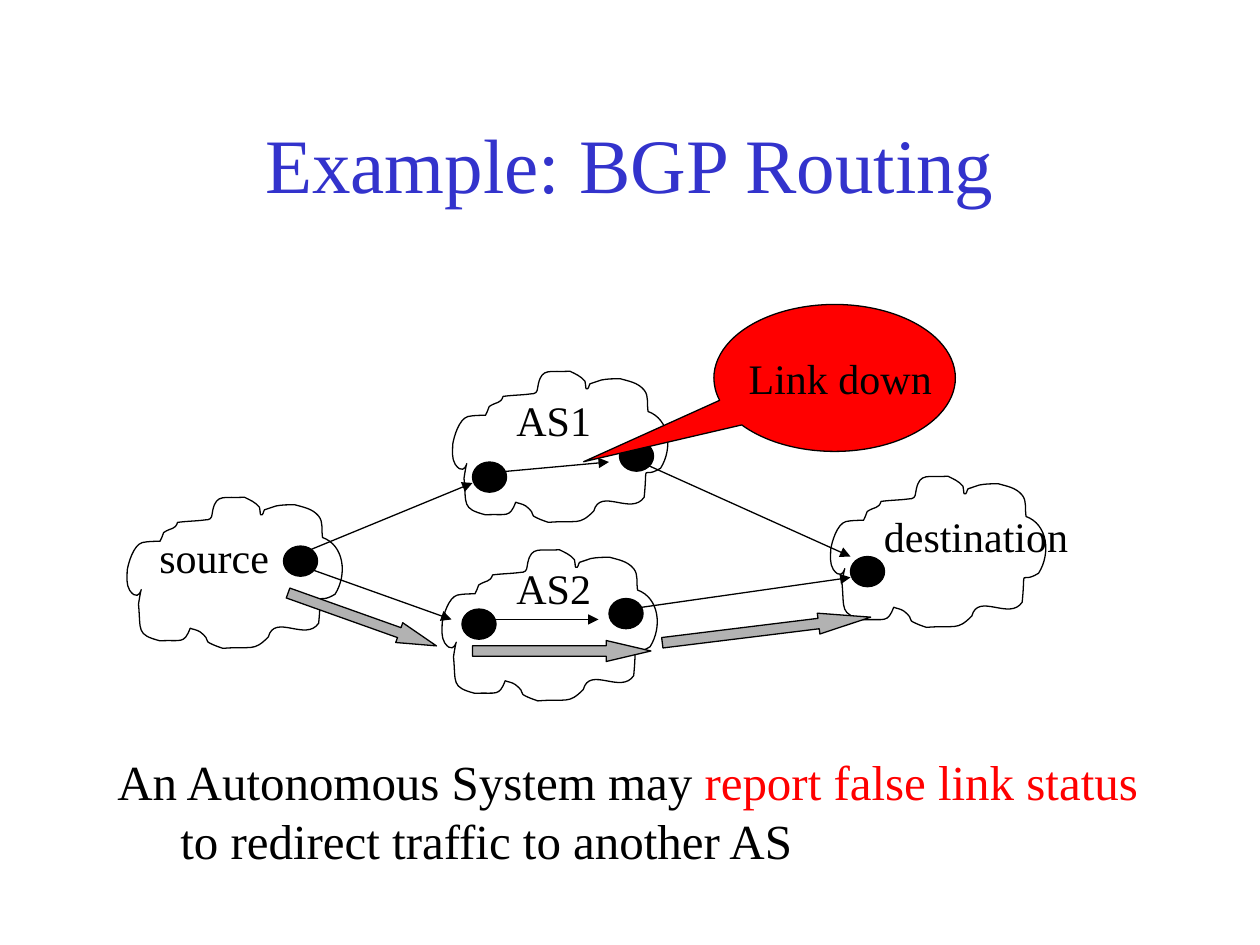
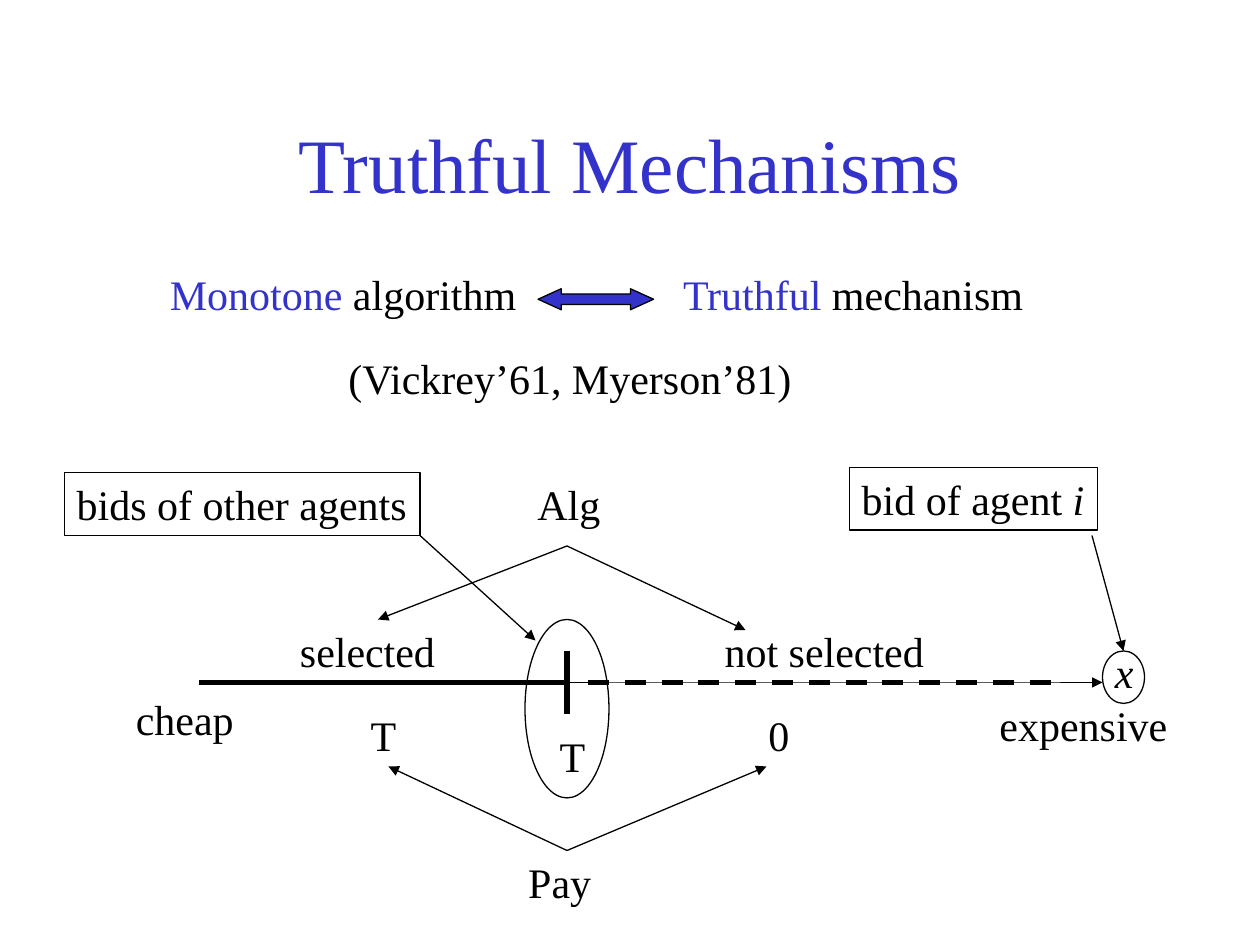
from lxml.etree import SubElement
from pptx import Presentation
from pptx.dml.color import RGBColor
from pptx.enum.dml import MSO_LINE
from pptx.enum.shapes import MSO_CONNECTOR, MSO_SHAPE
from pptx.enum.text import MSO_ANCHOR, MSO_AUTO_SIZE, PP_ALIGN
from pptx.oxml.ns import qn
from pptx.util import Pt

PX = 9525  # 96 px to the inch
FONT = "Times New Roman"
COLORS = {name: RGBColor.from_string(value) for name, value in {
    "black": "000000", "white": "FFFFFF", "blue": "3333CC",
    "red": "FF0000", "gray": "B2B2B2"}.items()}
THIN, THICK = Pt(0.75), Pt(3)


def add_box(slide, box, pieces=(), geometry=None, fill=None, outline=True,
            size=24, align=PP_ALIGN.LEFT, wrap=False):
    """Add a text box, or a preset shape; pieces are (text, colour name) runs."""
    left, top, width, height = (value * PX for value in box)
    if geometry is None:
        shape = slide.shapes.add_textbox(left, top, width, height)
    else:
        shape = slide.shapes.add_shape(geometry, left, top, width, height)
        shape.shadow.inherit = False
        if fill:
            shape.fill.solid()
            shape.fill.fore_color.rgb = COLORS[fill]
        else:
            shape.fill.background()
        if outline:
            shape.line.color.rgb = COLORS["black"]
            shape.line.width = THIN
        else:
            shape.line.fill.background()
    if pieces:
        frame = shape.text_frame
        frame.word_wrap = wrap
        frame.auto_size = MSO_AUTO_SIZE.SHAPE_TO_FIT_TEXT
        frame.vertical_anchor = MSO_ANCHOR.TOP
        paragraph = frame.paragraphs[0]
        paragraph.alignment = align
        for text, color in pieces:
            run = paragraph.add_run()
            run.text = text
            run.font.name = FONT
            run.font.size = Pt(size)
            run.font.color.rgb = COLORS[color]
    return shape


def add_line(slide, start, end, width=THIN, arrow=True, dash=None):
    points = [value * PX for value in (*start, *end)]
    line = slide.shapes.add_connector(MSO_CONNECTOR.STRAIGHT, *points)
    line.line.color.rgb = COLORS["black"]
    line.line.width = width
    if dash:
        line.line.dash_style = dash
    if arrow:
        SubElement(line.line._get_or_add_ln(), qn("a:tailEnd"), type="triangle")
    SubElement(line._element.spPr, qn("a:effectLst"))


presentation = Presentation()
presentation.slide_width = 960 * PX
presentation.slide_height = 720 * PX

slides = []
for heading in ("Example: BGP Routing", "Truthful Mechanisms"):
    slide = presentation.slides.add_slide(presentation.slide_layouts[5])
    title = slide.shapes.title
    title.left, title.top, title.width, title.height = (
        value * PX for value in (72, 64, 816, 120))
    title.text_frame.text = heading
    title.text_frame.vertical_anchor = MSO_ANCHOR.MIDDLE
    title.text_frame.paragraphs[0].alignment = PP_ALIGN.CENTER
    font = title.text_frame.paragraphs[0].runs[0].font
    font.name, font.size, font.color.rgb = FONT, Pt(44), COLORS["blue"]
    slides.append(slide)
routing, mechanisms = slides

# Slide 1: routes through two autonomous systems
statement = add_box(routing, (80, 568, 808, 100),
                    [("An Autonomous System may ", "black"),
                     ("report false link status", "red"),
                     (" to redirect traffic to another AS", "black")],
                    size=28, wrap=True)
properties = statement.text_frame.paragraphs[0]._p.get_or_add_pPr()
properties.set("marL", str(48 * PX))
properties.set("indent", str(-48 * PX))

# Each row is a Bezier segment: two control points and an end point
CLOUD_UNIT = 9144
CLOUD_START = (27, 38)
CLOUD_CURVES = [
    (22, 38, 18, 38, 13, 39), (6, 41, 2, 55, 1, 61),
    (1, 67, 0, 72, 3, 77), (13, 91, 14, 61, 10, 88),
    (12, 109, 8, 112, 27, 117), (44, 116, 46, 120, 51, 107),
    (53, 108, 56, 108, 59, 110), (69, 118, 60, 116, 69, 120),
    (71, 121, 77, 123, 77, 123), (100, 121, 101, 126, 113, 114),
    (118, 95, 143, 118, 153, 103), (156, 72, 150, 90, 166, 80),
    (176, 64, 173, 41, 156, 35), (155, 30, 157, 23, 153, 18),
    (148, 12, 141, 11, 134, 9), (129, 9, 124, 9, 119, 10),
    (116, 11, 110, 13, 110, 13), (109, 14, 109, 18, 107, 17),
    (106, 16, 107, 13, 106, 11), (103, 7, 98, 5, 94, 3),
    (78, 4, 72, 0, 69, 13), (68, 15, 69, 18, 67, 20),
    (66, 21, 64, 21, 63, 21), (56, 22, 48, 22, 41, 23),
    (39, 29, 36, 27, 30, 31), (28, 36, 29, 34, 27, 38)]
cloud_points = [curve[i:i + 2] for curve in CLOUD_CURVES for i in (0, 2, 4)]

for left, top in ((344, 280), (96, 376), (336, 416), (632, 360)):
    builder = routing.shapes.build_freeform(*CLOUD_START, scale=CLOUD_UNIT)
    builder.add_line_segments(cloud_points, close=True)
    cloud = builder.convert_to_shape(left * PX, top * PX)
    # Turn every three straight segments into one curve
    segments = list(cloud._element.iter(qn("a:lnTo")))
    for first, second, third in zip(*[iter(segments)] * 3):
        first.tag = qn("a:cubicBezTo")
        for segment in (second, third):
            first.append(segment[0])
            segment.getparent().remove(segment)
    cloud.shadow.inherit = False
    cloud.fill.solid()
    cloud.fill.fore_color.rgb = COLORS["white"]
    cloud.line.color.rgb = COLORS["black"]
    cloud.line.width = THIN

for left, top in ((352, 464), (216, 416), (360, 352), (472, 336), (648, 424), (464, 456)):
    add_box(routing, (left, top, 26, 23), geometry=MSO_SHAPE.OVAL, fill="black")

for start, end in (((232, 432), (344, 472)), ((224, 424), (360, 368)),
                   ((488, 352), (648, 424)), ((480, 464), (648, 440)),
                   ((376, 360), (464, 352)), ((368, 472), (456, 472))):
    add_line(routing, start, end)

callout = add_box(routing, (544, 232, 184, 112), fill="red",
                  geometry=MSO_SHAPE.OVAL_CALLOUT)
callout.adjustments[0] = -1.04
callout.adjustments[1] = 0.57

for text, left, top, width in (("AS1", 384, 296, 76), ("AS2", 384, 424, 76),
                               ("source", 112, 400, 103),
                               ("destination", 664, 384, 160),
                               ("Link down", 561, 264, 159)):
    add_box(routing, (left, top, width, 48), [(text, "black")])

for left, top, width, angle, head in ((216, 464, 120, 19.6, 1.88),
                                      (360, 488, 136, 0, 2.13),
                                      (504, 472, 160, 353, 2.5)):
    traffic = add_box(routing, (left, top, width, 16), fill="gray",
                      geometry=MSO_SHAPE.RIGHT_ARROW)
    traffic.rotation = angle
    traffic.adjustments[1] = head

# Slide 2: threshold on the bid axis
theorem = add_box(mechanisms, (120, 200, 671, 48),
                  [("Monotone ", "blue"), ("algorithm", "black"),
                   ("\tTruthful ", "blue"), ("mechanism", "black")])
properties = theorem.text_frame.paragraphs[0]._p.get_or_add_pPr()
tabs = SubElement(properties, qn("a:tabLst"))
SubElement(tabs, qn("a:tab"), pos=str(391 * PX), algn="l")
equivalence = add_box(mechanisms, (410, 220, 88, 16), fill="blue",
                      geometry=MSO_SHAPE.LEFT_RIGHT_ARROW)
equivalence.adjustments[1] = 1.1

AXIS = 520
add_line(mechanisms, (152, AXIS), (840, AXIS))
for text, left, width in (("selected", 152, 256), ("not selected", 448, 360)):
    add_box(mechanisms, (left, AXIS - 48, width, 48), [(text, "black")],
            geometry=MSO_SHAPE.RECTANGLE, fill="white", outline=False,
            align=PP_ALIGN.CENTER, wrap=True)
add_line(mechanisms, (152, AXIS), (432, AXIS), THICK, arrow=False)
add_line(mechanisms, (448, AXIS), (808, AXIS), THICK, arrow=False, dash=MSO_LINE.DASH)
add_line(mechanisms, (432, 544), (432, 496), THICK, arrow=False)

for text, left, top, width in (("(Vickrey’61, Myerson’81)", 256, 264, 358),
                               ("Alg", 400, 360, 67), ("Pay", 393, 648, 67),
                               ("T", 273, 536, 38), ("0", 576, 536, 35),
                               ("T", 417, 552, 38), ("cheap", 94, 524, 94),
                               ("expensive", 752, 528, 147)):
    add_box(mechanisms, (left, top, width, 48), [(text, "black")])
bid = add_box(mechanisms, (840, 488, 34, 48), [("x", "black")])
bid.text_frame.paragraphs[0].runs[0].font.italic = True

agent_bid = add_box(mechanisms, (647, 356, 189, 48),
                    [("bid of agent ", "black"), ("i", "black")],
                    geometry=MSO_SHAPE.RECTANGLE)
agent_bid.text_frame.paragraphs[0].runs[1].font.italic = True
add_box(mechanisms, (49, 360, 271, 48), [("bids of other agents", "black")],
        geometry=MSO_SHAPE.RECTANGLE)
for ring in ((400, 472, 64, 136), (840, 496, 32, 40)):
    add_box(mechanisms, ring, geometry=MSO_SHAPE.OVAL)

for start, end in (((320, 408), (408, 488)), ((832, 408), (856, 496)),
                   ((432, 416), (288, 472)), ((432, 416), (568, 480)),
                   ((432, 648), (296, 584)), ((432, 648), (584, 584))):
    add_line(mechanisms, start, end)

presentation.save("out.pptx")
